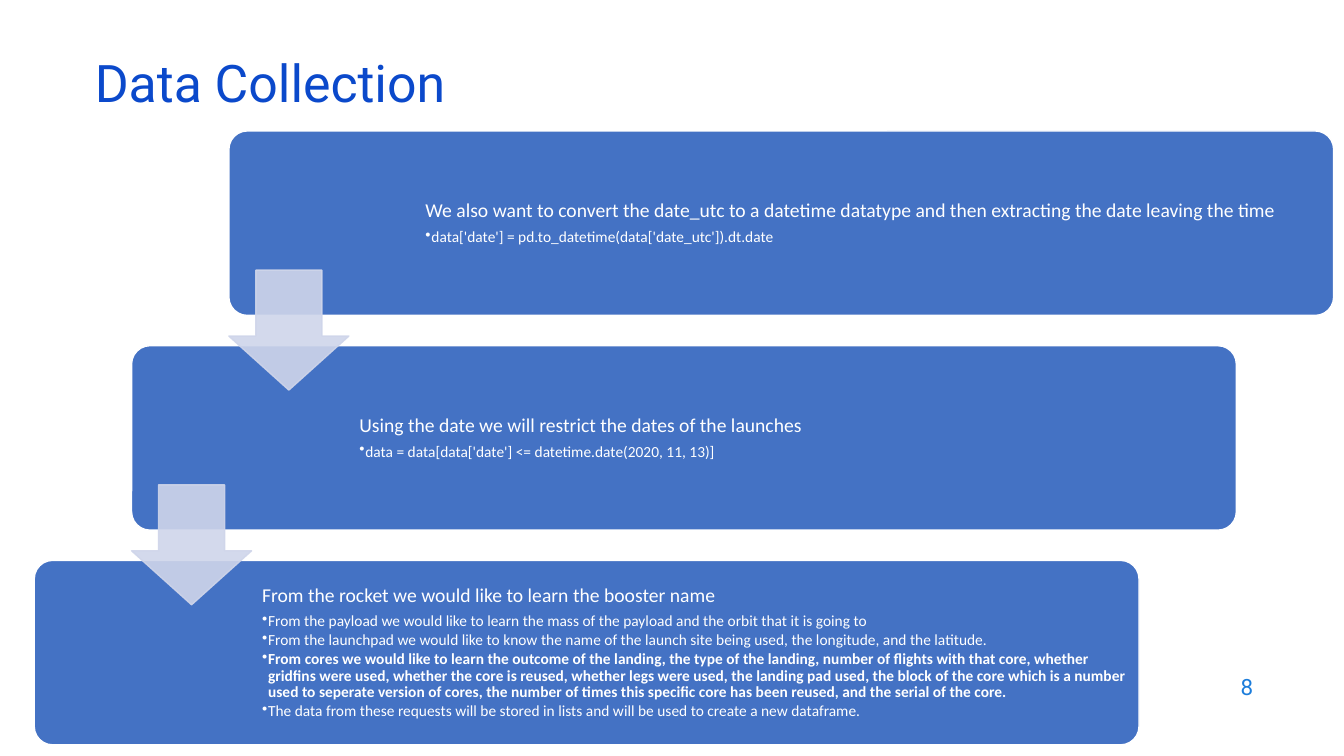
from dataclasses import dataclass

from lxml.etree import SubElement
from pptx import Presentation
from pptx.dml.color import RGBColor
from pptx.enum.shapes import MSO_SHAPE
from pptx.enum.text import MSO_ANCHOR, MSO_AUTO_SIZE, PP_ALIGN
from pptx.oxml.ns import qn
from pptx.util import Inches, Pt

WIDTH, HEIGHT = Inches(13.33), Inches(7.5)

# Lengths below are percentages of the slide's width or height.
CARD_LEFT, CARD_TOP, CARD_W, CARD_H = 17.03, 17.33, 82.2, 24.4
STEP_X, STEP_Y = -7.24, 28.4
TEXT_RIGHT, TEXT_INSET_Y = 0.45, 0.73
ARROW_DROP, ARROW_W, ARROW_H = 18.4, 8.93, 15.87

BLUE, PALE, WHITE = "4472C4", "CFD5EA", "FFFFFF"


@dataclass
class Bullet:
    text: str
    bold: bool = False


@dataclass
class Step:
    heading: str
    bullets: list[Bullet]
    indent: float = 16.5


STEPS = [
    Step("We also want to convert the date_utc to a datetime datatype and then "
         "extracting the date leaving the time",
         [Bullet("data['date'] = pd.to_datetime(data['date_utc']).dt.date")],
         indent=14.18),
    Step("Using the date we will restrict the dates of the launches",
         [Bullet("data = data[data['date'] <= datetime.date(2020, 11, 13)]")]),
    Step("From the rocket we would like to learn the booster name", [
        Bullet("From the payload we would like to learn the mass of the payload "
               "and the orbit that it is going to"),
        Bullet("From the launchpad we would like to know the name of the launch "
               "site being used, the longitude, and the latitude."),
        Bullet("From cores we would like to learn the outcome of the landing, the "
               "type of the landing, number of flights with that core, whether "
               "gridfins were used, whether the core is reused, whether legs were "
               "used, the landing pad used, the block of the core which is a number "
               "used to seperate version of cores, the number of times this "
               "specific core has been reused, and the serial of the core.",
               bold=True),
        Bullet("The data from these requests will be stored in lists and will be "
               "used to create a new dataframe."),
    ]),
]


def color(hex_code: str) -> RGBColor:
    return RGBColor.from_string(hex_code)


def box(left: float, top: float, width: float, height: float) -> tuple:
    """Turn percentages of the slide into left, top, width and height."""
    return (round(WIDTH * left / 100), round(HEIGHT * top / 100),
            round(WIDTH * width / 100), round(HEIGHT * height / 100))


def add_run(p, text: str, size: float, font: str, hex_code: str,
            bold: bool = False) -> None:
    r = p.add_run()
    r.text = text
    r.font.size, r.font.name, r.font.bold = Pt(size), font, bold
    r.font.color.rgb = color(hex_code)


def add_block(slide, kind: MSO_SHAPE, place: tuple, adjustments: list[float],
              fill: str, line: str):
    sp = slide.shapes.add_shape(kind, *place)
    sp.shadow.inherit = False
    for i, value in enumerate(adjustments):
        sp.adjustments[i] = value
    sp.fill.solid()
    sp.fill.fore_color.rgb = color(fill)
    sp.line.color.rgb = color(line)
    sp.line.width = Pt(1)
    return sp


def add_bullet_mark(p) -> None:
    p.level = 1
    pPr = p._p.get_or_add_pPr()
    pPr.set("marL", str(Inches(0.06)))
    pPr.set("indent", str(-Inches(0.06)))
    SubElement(pPr, qn("a:buChar"), char="•")


def add_step_text(slide, step: Step, left: float, top: float) -> None:
    place = box(left + step.indent, top + TEXT_INSET_Y,
                CARD_W - step.indent - TEXT_RIGHT, CARD_H - 2 * TEXT_INSET_Y)
    tf = slide.shapes.add_textbox(*place).text_frame
    tf.word_wrap = True
    tf.vertical_anchor = MSO_ANCHOR.MIDDLE
    tf.margin_left = tf.margin_right = Inches(0.06)
    tf.margin_top = tf.margin_bottom = Inches(0.06)

    p = tf.paragraphs[0]
    p.line_spacing, p.space_after = 0.9, Pt(5)
    add_run(p, step.heading, 14, "Calibri", WHITE)
    for bullet in step.bullets:
        p = tf.add_paragraph()
        add_bullet_mark(p)
        p.line_spacing, p.space_after = 0.9, Pt(1.6)
        add_run(p, bullet.text, 11, "Calibri", WHITE, bullet.bold)


def add_arrow(slide, left: float, top: float) -> None:
    sp = add_block(slide, MSO_SHAPE.DOWN_ARROW,
                   box(left, top + ARROW_DROP, ARROW_W, ARROW_H),
                   [0.55, 0.45], PALE, PALE)
    for clr in sp._element.spPr.iter(qn("a:srgbClr")):
        SubElement(clr, qn("a:alpha"), val="90000")


def add_title(slide, text: str) -> None:
    title = slide.shapes.title
    title.left, title.top, title.width, title.height = box(6.3, 7.87, 86.25, 8)
    tf = title.text_frame
    tf.auto_size = MSO_AUTO_SIZE.NONE
    tf.vertical_anchor = MSO_ANCHOR.MIDDLE
    p = tf.paragraphs[0]
    p.alignment, p.line_spacing = PP_ALIGN.LEFT, 0.7
    add_run(p, text, 37, "Roboto", "0B49CB")


def add_page_number(slide, number: str) -> None:
    tf = slide.shapes.add_textbox(*box(71.48, 87.87, 22.5, 5.87)).text_frame
    tf.word_wrap = True
    tf.vertical_anchor = MSO_ANCHOR.MIDDLE
    p = tf.paragraphs[0]
    p.alignment = PP_ALIGN.RIGHT
    add_run(p, number, 16, "Roboto", "1C7DDB")


def main() -> None:
    prs = Presentation()
    prs.slide_width, prs.slide_height = WIDTH, HEIGHT
    slide = prs.slides.add_slide(prs.slide_layouts.get_by_name("Title Only"))
    add_title(slide, "Data Collection")
    add_page_number(slide, "8")

    corners = [(CARD_LEFT + i * STEP_X, CARD_TOP + i * STEP_Y)
               for i in range(len(STEPS))]
    for step, (left, top) in zip(STEPS, corners):
        add_block(slide, MSO_SHAPE.ROUNDED_RECTANGLE,
                  box(left, top, CARD_W, CARD_H), [0.1], BLUE, WHITE)
        add_step_text(slide, step, left, top)
    for left, top in corners[:-1]:
        add_arrow(slide, left, top)

    prs.save("out.pptx")


if __name__ == "__main__":
    main()
